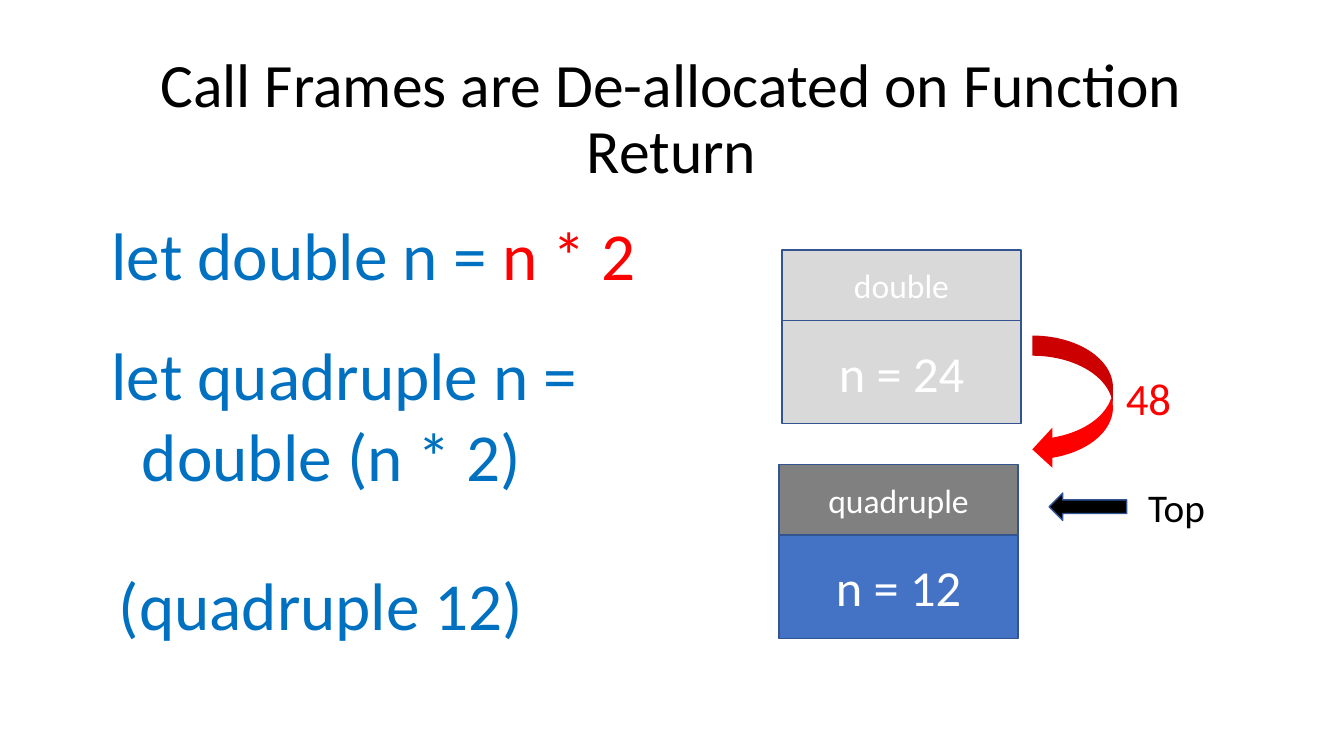
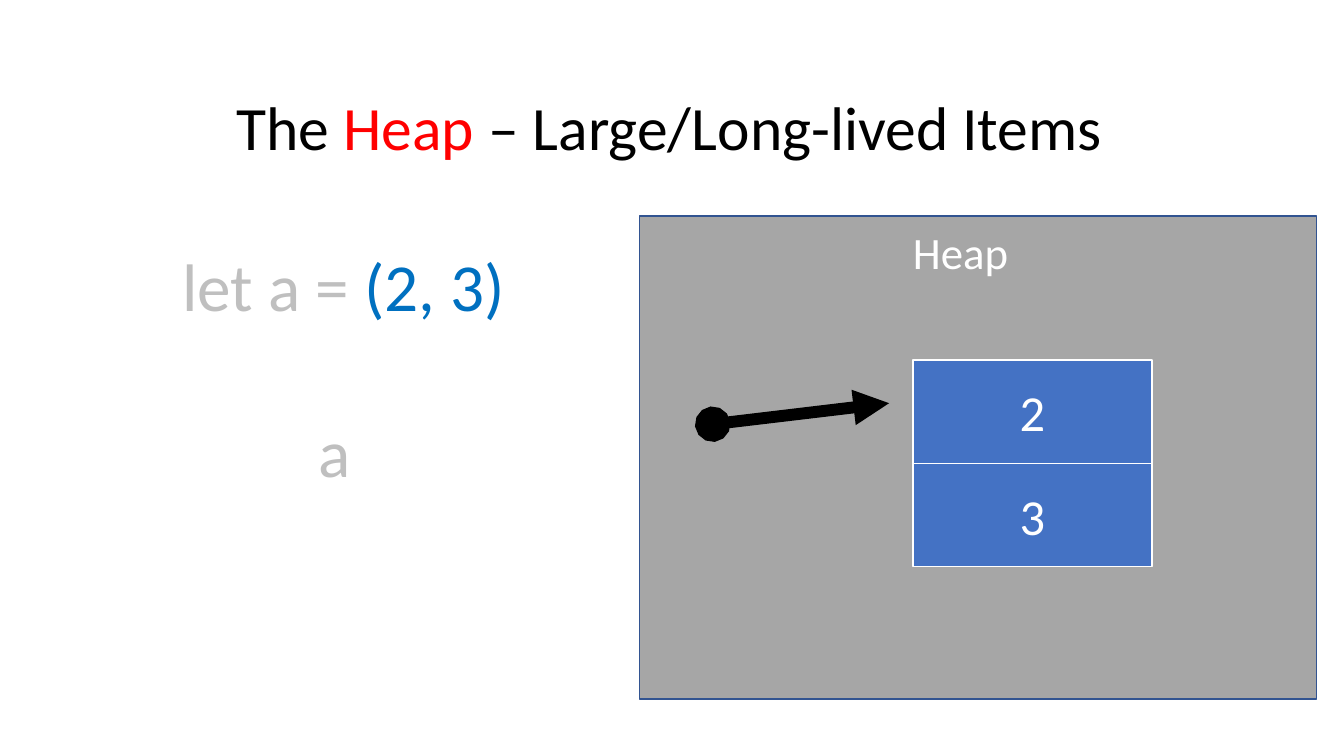
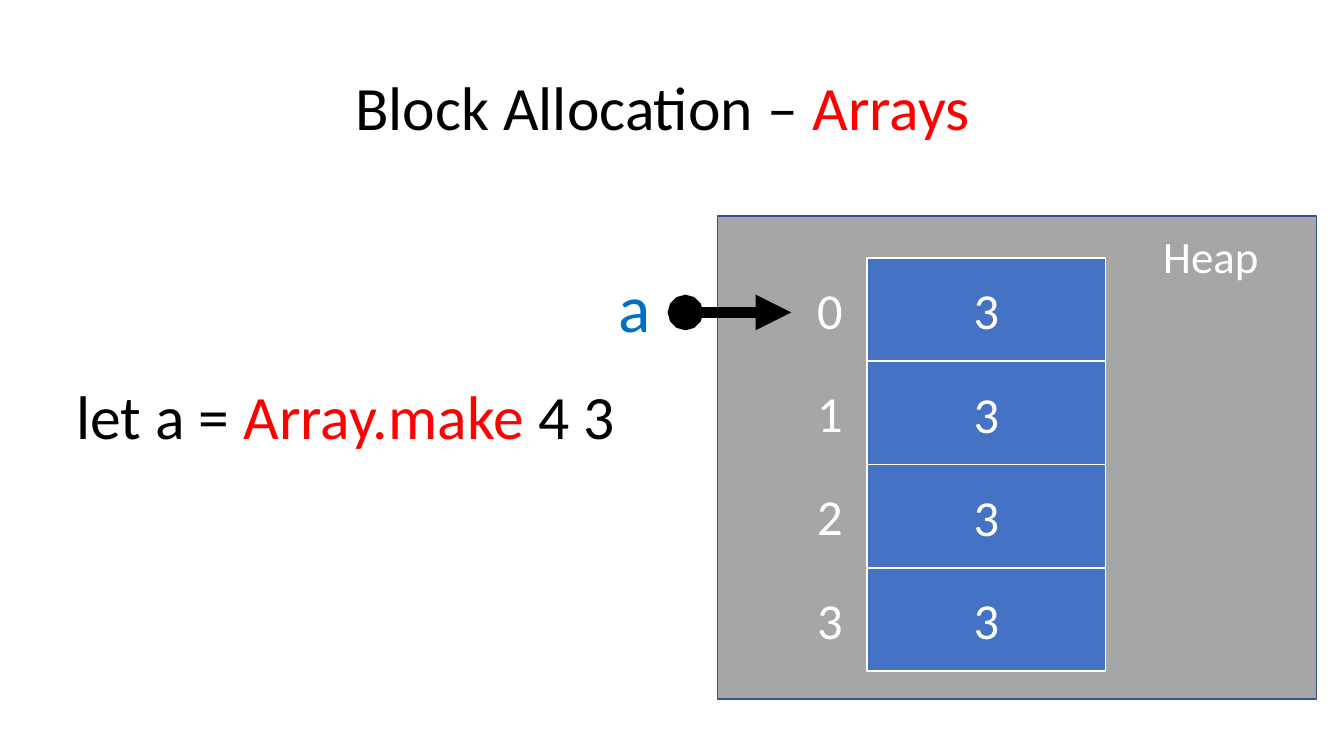
from lxml import etree
from pptx import Presentation
from pptx.dml.color import RGBColor
from pptx.enum.shapes import MSO_CONNECTOR, MSO_SHAPE
from pptx.enum.text import MSO_ANCHOR, PP_ALIGN
from pptx.oxml.ns import qn
from pptx.util import Emu, Pt

RECT = MSO_SHAPE.RECTANGLE
LEFT_ARROW = MSO_SHAPE.LEFT_ARROW
CURVED_ARROW = MSO_SHAPE.CURVED_LEFT_ARROW
STRAIGHT = MSO_CONNECTOR.STRAIGHT
TOP, MIDDLE = MSO_ANCHOR.TOP, MSO_ANCHOR.MIDDLE
LEFT, CENTER = PP_ALIGN.LEFT, PP_ALIGN.CENTER

BLACK = RGBColor(0x00, 0x00, 0x00)
WHITE = RGBColor(0xFF, 0xFF, 0xFF)
RED = RGBColor(0xFF, 0x00, 0x00)
CODE = RGBColor(0x00, 0x70, 0xC0)
FADED = RGBColor(0xBF, 0xBF, 0xBF)
FREED = RGBColor(0xD9, 0xD9, 0xD9)
HEADER = RGBColor(0x80, 0x80, 0x80)
STORE = RGBColor(0xA6, 0xA6, 0xA6)
BLUE = RGBColor(0x44, 0x72, 0xC4)
EDGE = RGBColor(0x32, 0x54, 0x91)

FONT = "Calibri"

# The slide is a grid of 32 columns and 18 rows of square units.
COLS, ROWS, UNIT = 32, 18, 381000
CELL_W, CELL_H, HEAD_H = 5.69, 2.46, 1.68
HEAP_TOP, HEAP_H, HEAP_RIGHT = 5.14, 11.5, 31.35
CODE_H, TITLE_H = 2.18, 3.48


def grid(*units):
    return [Emu(round(n * UNIT)) for n in units]


def write(frame, lines, size, align=LEFT, spacing=None):
    """Fill a frame with lines, each a list of (text, colour) runs."""
    for i, runs in enumerate(lines):
        para = frame.add_paragraph() if i else frame.paragraphs[0]
        para.alignment = align
        para.font.name, para.font.size = FONT, Pt(size)
        if spacing:
            para.line_spacing = spacing
        for text, color in runs:
            run = para.add_run()
            run.text = text
            run.font.color.rgb = color


def label(slide, box, lines, size, wrap=True, anchor=TOP, **style):
    frame = slide.shapes.add_textbox(*grid(*box)).text_frame
    frame.word_wrap = wrap
    frame.vertical_anchor = anchor
    write(frame, lines, size, **style)


def title(slide, runs, left=2.14, top=1.37, width=27.6):
    label(slide, (left, top, width, TITLE_H), [runs], 44,
          anchor=MIDDLE, align=CENTER, spacing=0.9)


def block(slide, box, fill, edge=EDGE, kind=RECT):
    shape = slide.shapes.add_shape(kind, *grid(*box))
    shape.shadow.inherit = False
    shape.fill.solid()
    shape.fill.fore_color.rgb = fill
    if edge is None:
        shape.line.fill.background()
    else:
        shape.line.color.rgb = edge
        shape.line.width = Pt(1)
    return shape


def cell(slide, box, text, fill=BLUE, edge=EDGE, size=36):
    frame = block(slide, box, fill, edge).text_frame
    frame.vertical_anchor = MIDDLE
    write(frame, [[(text, WHITE)]], size, CENTER)


def call_frame(slide, left, top, name, value, head, body):
    cell(slide, (left, top, CELL_W, HEAD_H), name, head, size=24)
    cell(slide, (left, top + HEAD_H, CELL_W, CELL_H), value, body)


def heap(slide, left, name_left, name_top):
    block(slide, (left, HEAP_TOP, HEAP_RIGHT - left, HEAP_H), STORE)
    label(slide, (name_left, name_top, 2.78, 1.54),
          [[("Heap", WHITE)]], 32, wrap=False)


def stack(slide, left, top, values, numbered=False):
    for i, value in enumerate(values):
        y = top + i * CELL_H
        cell(slide, (left, y, CELL_W, CELL_H), value, edge=WHITE)
        if numbered:
            label(slide, (left - 1.42, y + 0.38, 1.27, 1.7),
                  [[(str(i), WHITE)]], 36)


def pointer(slide, *ends):
    line = slide.shapes.add_connector(STRAIGHT, *grid(*ends))
    line.line.color.rgb = BLACK
    line.line.width = Pt(8.5)
    props = line.line._get_or_add_ln()
    for tag, kind in (("a:headEnd", "oval"), ("a:tailEnd", "triangle")):
        etree.SubElement(props, qn(tag)).set("type", kind)
    etree.SubElement(line._element.spPr, qn("a:effectLst"))


def frames_slide(slide):
    title(slide, [("Call Frames are De-allocated on Function Return", BLACK)],
          1.46, 1.13, 29.06)
    label(slide, (2.42, 4.97, 13.97, CODE_H),
          [[("let double n = ", CODE), ("n * 2", RED)]], 48)
    label(slide, (2.42, 7.82, 12.86, 4.13),
          [[("let quadruple n =", CODE)], [("  double (n * 2)", CODE)]], 48)
    label(slide, (2.59, 13.3, 10.37, CODE_H), [[("(quadruple 12)", CODE)]], 48)
    call_frame(slide, 18.62, 5.95, "double", "n = 24", FREED, FREED)
    call_frame(slide, 18.55, 11.06, "quadruple", "n = 12", HEADER, BLUE)
    label(slide, (27.1, 11.38, 1.85, 1.37), [[("Top", BLACK)]], 28, wrap=False)
    block(slide, (24.98, 11.74, 1.85, 0.65), BLACK, kind=LEFT_ARROW)
    block(slide, (24.58, 7.99, 1.92, 3.19), RED, None, CURVED_ARROW)
    label(slide, (26.57, 8.71, 1.58, 1.54), [[("48", RED)]], 32, wrap=False)


def heap_slide(slide):
    heap(slide, 15.22, 21.5, 5.23)
    title(slide, [("The ", BLACK), ("Heap", RED),
                  (" – Large/Long-lived Items", BLACK)])
    label(slide, (4.1, 5.71, 9.12, CODE_H),
          [[("let a = ", FADED), ("(2, 3)", CODE)]], 48)
    label(slide, (7.34, 9.65, 1.34, CODE_H), [[("a", FADED)]], 48)
    stack(slide, 21.74, 8.57, "23")
    pointer(slide, 16.97, 10.1, 21.17, 9.6)


def array_slide(slide):
    heap(slide, 17.09, 27.46, 5.33)
    title(slide, [("Block Allocation – ", BLACK), ("Arrays ", RED)], top=0.89)
    label(slide, (1.58, 9.1, 13.51, 1.8),
          [[("let a = ", BLACK), ("Array.make ", RED), ("4 3", BLACK)]], 44,
          anchor=MIDDLE, spacing=0.9)
    label(slide, (14.5, 6.19, 1.34, CODE_H), [[("a", CODE)]], 48)
    stack(slide, 20.64, 6.14, "3333", numbered=True)
    pointer(slide, 16.32, 7.44, 18.84, 7.44)


def main():
    deck = Presentation()
    deck.slide_width, deck.slide_height = grid(COLS, ROWS)
    for build in (frames_slide, heap_slide, array_slide):
        build(deck.slides.add_slide(deck.slide_layouts[6]))
    deck.save("out.pptx")


if __name__ == "__main__":
    main()
